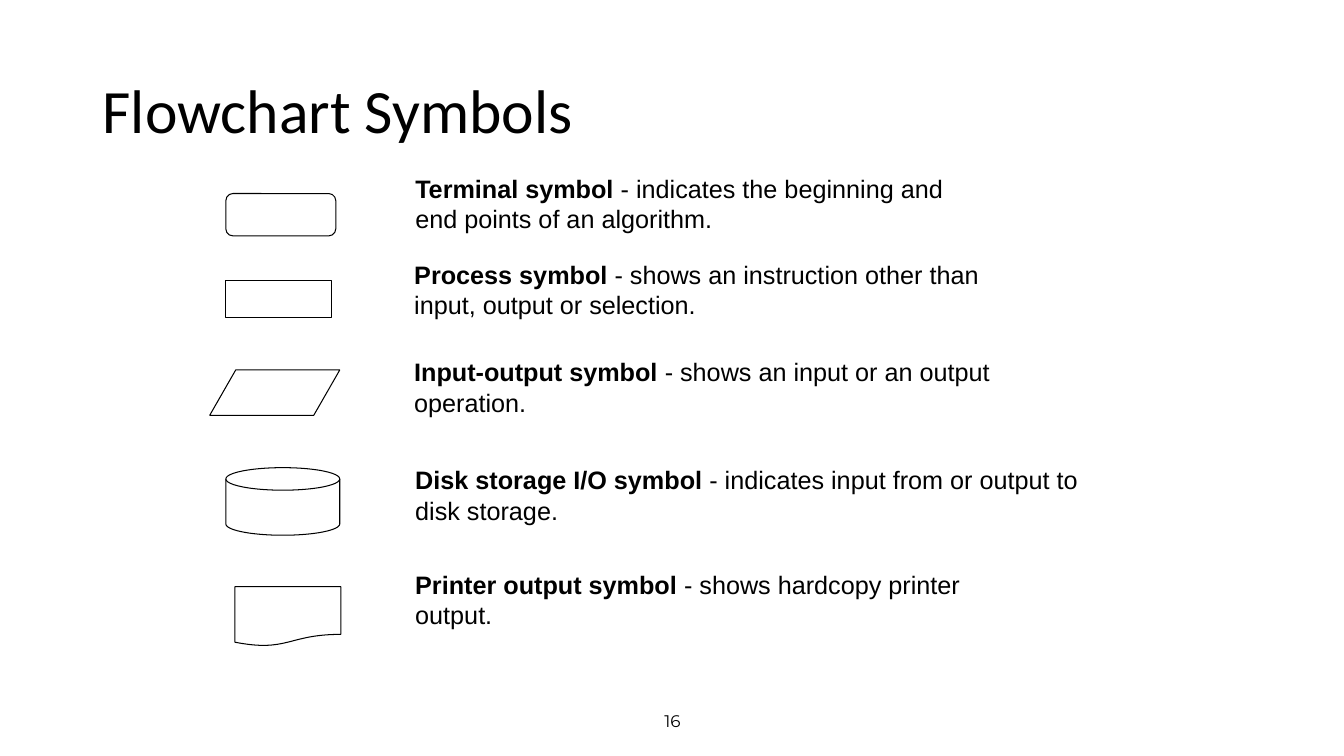
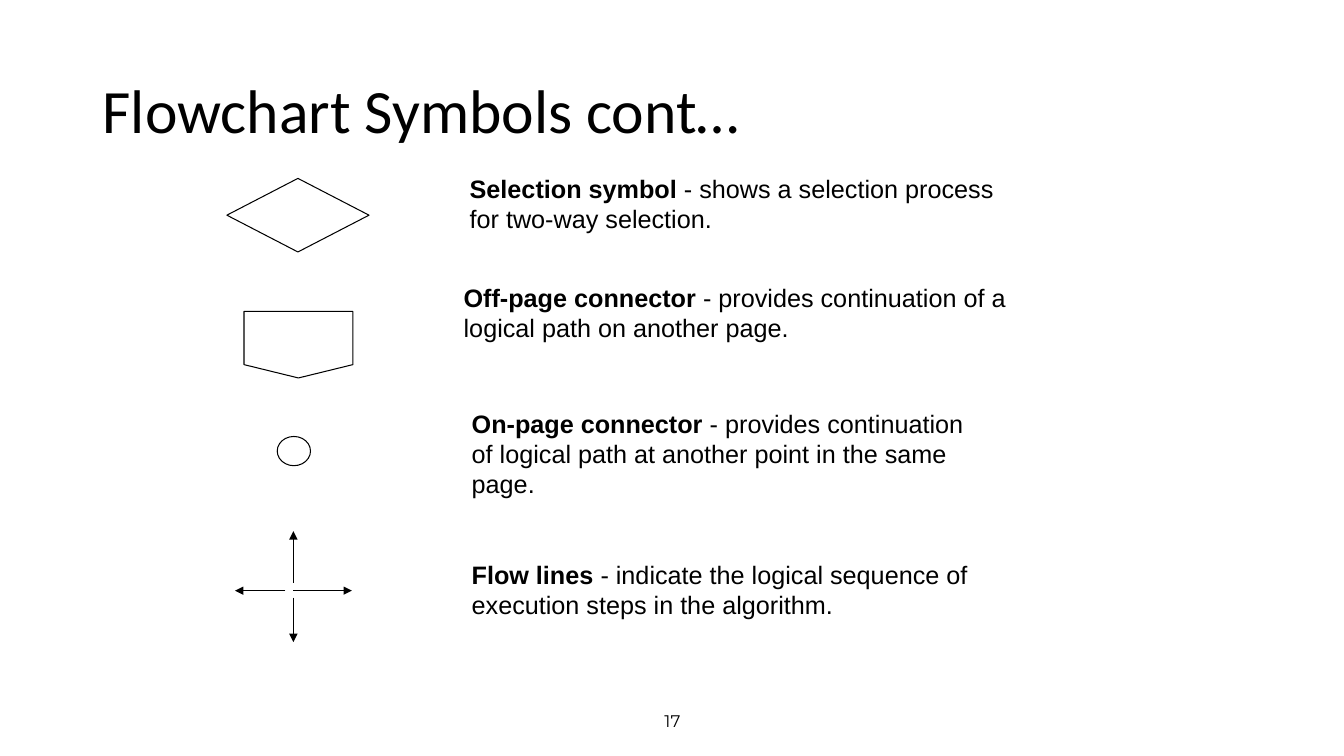
from lxml import etree
from pptx import Presentation
from pptx.dml.color import RGBColor
from pptx.enum.shapes import MSO_CONNECTOR, MSO_SHAPE
from pptx.enum.text import MSO_ANCHOR, PP_ALIGN
from pptx.oxml.ns import qn
from pptx.util import Emu, Pt

TERMINAL = MSO_SHAPE.FLOWCHART_ALTERNATE_PROCESS
PROCESS = MSO_SHAPE.FLOWCHART_PROCESS
INPUT_OUTPUT = MSO_SHAPE.FLOWCHART_DATA
DISK = MSO_SHAPE.FLOWCHART_MAGNETIC_DISK
DOCUMENT = MSO_SHAPE.FLOWCHART_DOCUMENT
DECISION = MSO_SHAPE.FLOWCHART_DECISION
OFF_PAGE = MSO_SHAPE.FLOWCHART_OFFPAGE_CONNECTOR
ON_PAGE = MSO_SHAPE.FLOWCHART_CONNECTOR
STRAIGHT = MSO_CONNECTOR.STRAIGHT
TOP, MIDDLE = MSO_ANCHOR.TOP, MSO_ANCHOR.MIDDLE
LEFT, CENTER = PP_ALIGN.LEFT, PP_ALIGN.CENTER

EMU_PER_PX = 9144  # 100 px to the inch
SLIDE_SIZE = (1333, 750)
INK = "000000"
LINE_WIDTH = 0.75

TITLE_BOX = (92, 40, 1150, 145)
NUMBER_BOX = (442, 695, 450, 40)
TITLE_STYLE = {"name": "Calibri", "size": Pt(44)}
NUMBER_STYLE = {"name": "Montserrat", "size": Pt(12)}
BODY_STYLE = {"name": "Arial", "size": Pt(18)}

# symbols: (preset, box); descriptions: (term, lines of explanation, box)
# flow lines: (start, end)
SLIDES = [
    {
        "number": 16,
        "title": "Flowchart Symbols",
        "symbols": [
            (TERMINAL, (224, 192, 109, 42)),
            (PROCESS, (224, 278, 105, 37)),
            (INPUT_OUTPUT, (208, 367, 129, 45)),
            (DISK, (224, 464, 113, 67)),
            (DOCUMENT, (233, 582, 105, 59)),
        ],
        "flow_lines": [],
        "descriptions": [
            ("Terminal symbol", [" - indicates the beginning and",
                                 "end points of an algorithm."], (402, 167, 555, 71)),
            ("Process symbol", [" - shows an instruction other than",
                                "input, output or selection."], (401, 252, 585, 71)),
            ("Input-output symbol", [" - shows an input or an output",
                                     "operation."], (401, 349, 604, 71)),
            ("Disk storage I/O symbol",
             [" - indicates input from or output to disk storage."],
             (402, 456, 683, 71)),
            ("Printer output symbol", [" - shows hardcopy printer",
                                       "output."], (402, 560, 566, 71)),
        ],
    },
    {
        "number": 17,
        "title": "Flowchart Symbols cont…",
        "symbols": [
            (DECISION, (225, 177, 141, 73)),
            (OFF_PAGE, (242, 309, 108, 66)),
            (ON_PAGE, (275, 433, 33, 29)),
        ],
        "flow_lines": [
            ((291, 578), (291, 527)),
            ((291, 586), (349, 586)),
            ((291, 593), (291, 637)),
            ((283, 586), (233, 586)),
        ],
        "descriptions": [
            ("Selection symbol", [" - shows a selection process",
                                  "for two-way selection."], (456, 167, 545, 71)),
            ("Off-page connector",
             [" - provides continuation of a logical path on another page."],
             (450, 275, 625, 71)),
            ("On-page connector", [" - provides continuation",
                                   "of logical path at another point in the same",
                                   "page."], (458, 400, 512, 101)),
            ("Flow lines", [" - indicate the logical sequence of",
                            "execution steps in the algorithm."], (458, 550, 517, 71)),
        ],
    },
]


def px(*lengths):
    return [Emu(length * EMU_PER_PX) for length in lengths]


def color(hex_code):
    return RGBColor.from_string(hex_code)


def outline(line):
    line.color.rgb = color(INK)
    line.width = Pt(LINE_WIDTH)


def add_text(slide, box, paragraphs, style, anchor=TOP, align=LEFT, spacing=None):
    """Add a text box; each paragraph is a list of (text, bold) runs."""
    frame = slide.shapes.add_textbox(*px(*box)).text_frame
    frame.word_wrap = True
    frame.vertical_anchor = anchor
    for index, runs in enumerate(paragraphs):
        paragraph = frame.add_paragraph() if index else frame.paragraphs[0]
        paragraph.alignment = align
        paragraph.line_spacing = spacing
        for text, bold in runs:
            run = paragraph.add_run()
            run.text = text
            run.font.bold = bold
            run.font.color.rgb = color(INK)
            for attribute, value in style.items():
                setattr(run.font, attribute, value)


def add_symbol(slide, preset, box):
    symbol = slide.shapes.add_shape(preset, *px(*box))
    symbol.shadow.inherit = False
    symbol.fill.background()
    outline(symbol.line)


def add_flow_line(slide, start, end):
    arrow = slide.shapes.add_connector(STRAIGHT, *px(*start, *end))
    outline(arrow.line)
    properties = arrow.element.spPr
    etree.SubElement(properties.find(qn("a:ln")), qn("a:tailEnd"), type="triangle")
    etree.SubElement(properties, qn("a:effectLst"))


def add_description(slide, term, lines, box):
    first, *others = lines
    paragraphs = [[(term, True), (first, False)]]
    paragraphs += [[(line, False)] for line in others]
    add_text(slide, box, paragraphs, BODY_STYLE)


def build_slide(deck, content):
    slide = deck.slides.add_slide(deck.slide_layouts[6])
    add_text(slide, NUMBER_BOX, [[(str(content["number"]), False)]],
             NUMBER_STYLE, MIDDLE, CENTER)
    add_text(slide, TITLE_BOX, [[(content["title"], False)]],
             TITLE_STYLE, MIDDLE, spacing=0.9)
    for symbol in content["symbols"]:
        add_symbol(slide, *symbol)
    for flow_line in content["flow_lines"]:
        add_flow_line(slide, *flow_line)
    for description in content["descriptions"]:
        add_description(slide, *description)


def main():
    deck = Presentation()
    deck.slide_width, deck.slide_height = px(*SLIDE_SIZE)
    for content in SLIDES:
        build_slide(deck, content)
    deck.save("out.pptx")


if __name__ == "__main__":
    main()
